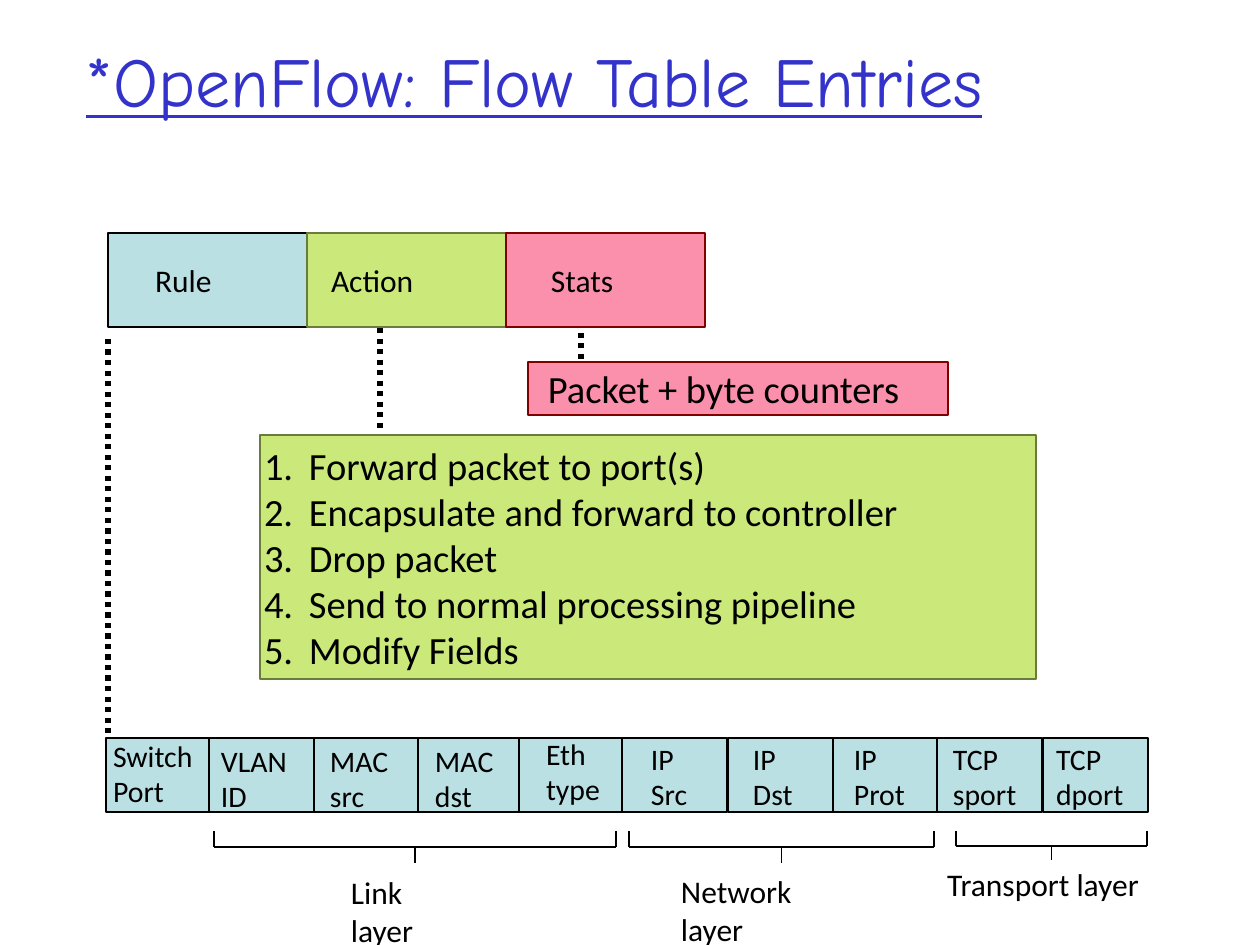
from dataclasses import dataclass

from lxml import etree
from pptx import Presentation
from pptx import util as u
from pptx.dml.color import RGBColor
from pptx.enum import dml, shapes, text
from pptx.oxml.ns import qn

PX = 914400 / 126


def px(length):
    return u.Emu(round(length * PX))


@dataclass(frozen=True)
class Theme:
    ink: str = "000000"
    title: str = "3333CC"
    rule: tuple = ("BBE0E3", "000000")
    action: tuple = ("CBE97B", "697D3A")
    stats: tuple = ("FA90AB", "800000")
    title_font: str = "Comic Neue"
    body_font: str = "Calibri"
    title_size: int = 40
    large: int = 22
    normal: int = 18
    small: int = 17


def write(frame, lines, font, size, color, underline=None, align=None,
          anchor=text.MSO_ANCHOR.MIDDLE, inset=(0, 0), wrap=False, numbered=False):
    """Fill a text frame; inset is (horizontal, vertical) in px."""
    frame.word_wrap = wrap
    frame.vertical_anchor = anchor
    frame.margin_left = frame.margin_right = px(inset[0])
    frame.margin_top = frame.margin_bottom = px(inset[1])
    for number, line in enumerate(lines):
        paragraph = frame.add_paragraph() if number else frame.paragraphs[0]
        paragraph.alignment = align or text.PP_ALIGN.LEFT
        if numbered:
            properties = paragraph._p.get_or_add_pPr()
            properties.set("marL", str(px(49)))
            properties.set("indent", str(-px(45)))
            bullet = etree.SubElement(properties, qn("a:buAutoNum"))
            bullet.set("type", "arabicPeriod")
        run = paragraph.add_run()
        run.text = line
        run.font.name = font
        run.font.size = u.Pt(size)
        run.font.underline = underline
        run.font.color.rgb = RGBColor.from_string(color)


class SlideBuilder:
    def __init__(self, slide, theme):
        self.slide = slide
        self.theme = theme

    def label(self, left, top, width, height, lines, size, **style):
        style = {"font": self.theme.body_font, "color": self.theme.ink, **style}
        box = self.slide.shapes.add_textbox(px(left), px(top), px(width), px(height))
        write(box.text_frame, lines, size=size, **style)

    def rect(self, left, top, width, height, colors):
        fill, border = colors
        box = self.slide.shapes.add_shape(
            shapes.MSO_SHAPE.RECTANGLE, px(left), px(top), px(width), px(height))
        box.shadow.inherit = False
        box.fill.solid()
        box.fill.fore_color.rgb = RGBColor.from_string(fill)
        box.line.color.rgb = RGBColor.from_string(border)
        box.line.width = u.Pt(1)
        return box

    def line(self, x1, y1, x2, y2, weight, dash=None, parent=None):
        owner = parent or self.slide
        connector = owner.shapes.add_connector(
            shapes.MSO_CONNECTOR.STRAIGHT, px(x1), px(y1), px(x2), px(y2))
        connector.line.color.rgb = RGBColor.from_string(self.theme.ink)
        connector.line.width = u.Pt(weight)
        if dash:
            connector.line.dash_style = dash
        etree.SubElement(connector._element.spPr, qn("a:effectLst"))

    def dotted(self, x, top, bottom):
        self.line(x, top, x, bottom, 3, dml.MSO_LINE.ROUND_DOT)

    def bracket(self, left, right, top, bar, bottom):
        group = self.slide.shapes.add_group_shape()
        middle = (left + right) / 2
        for ends in ((left, top, left, bar), (left, bar, right, bar),
                     (right, top, right, bar), (middle, bar, middle, bottom)):
            self.line(*ends, 0.75, parent=group)


# cell left, label left, label top, label width, label lines
MATCH_FIELDS = [
    (106, 113, 737, 81, ("Switch", "Port")),
    (209, 221, 742, 67, ("VLAN", "ID")),
    (314, 330, 742, 59, ("MAC", "src")),
    (418, 435, 742, 59, ("MAC", "dst")),
    (519, 546, 735, 54, ("Eth", "type")),
    (622, 651, 740, 37, ("IP", "Src")),
    (728, 753, 740, 40, ("IP", "Dst")),
    (833, 854, 740, 52, ("IP", "Prot")),
    (937, 953, 740, 64, ("TCP", "sport")),
    (1043, 1056, 740, 69, ("TCP", "dport")),
]
ACTIONS = [
    "Forward packet to port(s)",
    "Encapsulate and forward to controller",
    "Drop packet",
    "Send to normal processing pipeline",
    "Modify Fields",
]
BRACKETS = [
    (214, 616, 831, 847, 863),
    (629, 934, 831, 847, 863),
    (956, 1147, 831, 846, 860),
]


def main():
    theme = Theme()
    deck = Presentation()
    deck.slide_width, deck.slide_height = px(1260), px(945)
    page = SlideBuilder(deck.slides.add_slide(deck.slide_layouts[6]), theme)

    page.label(73, 1, 1071, 158, ["*OpenFlow: Flow Table Entries"], theme.title_size,
               font=theme.title_font, color=theme.title, underline=True,
               inset=(13, 6), wrap=True)

    for cell_left, left, top, width, lines in MATCH_FIELDS:
        page.rect(cell_left, 738, 105, 74, theme.rule)
        page.label(left, top, width, 72, lines, theme.small)

    entry_parts = [("Rule", 155, 57, theme.rule), ("Action", 331, 83, theme.action),
                   ("Stats", 551, 63, theme.stats)]
    for column, (name, left, width, colors) in enumerate(entry_parts):
        page.rect(108 + 199 * column, 233, 199, 94, colors)
        page.label(left, 261, width, 38, [name], theme.normal)

    actions = page.rect(260, 435, 776, 244, theme.action)
    write(actions.text_frame, ACTIONS, theme.body_font, theme.large, theme.ink,
          wrap=True, numbered=True)

    page.dotted(108, 339, 737)
    page.dotted(380, 328, 432)
    page.rect(528, 362, 420, 53, theme.stats)
    page.label(548, 365, 355, 47, ["Packet + byte counters"], theme.large)
    page.dotted(581, 359, 328)

    for bracket in BRACKETS:
        page.bracket(*bracket)
    layer_style = {"anchor": text.MSO_ANCHOR.TOP, "inset": (13, 6), "wrap": True}
    page.label(338, 867, 115, 50, ["Link layer"], theme.normal, **layer_style)
    page.label(668, 866, 170, 50, ["Network layer"], theme.normal, **layer_style)
    page.label(881, 859, 324, 50, ["Transport layer"], theme.normal,
               align=text.PP_ALIGN.CENTER, **layer_style)

    deck.save("out.pptx")


if __name__ == "__main__":
    main()
